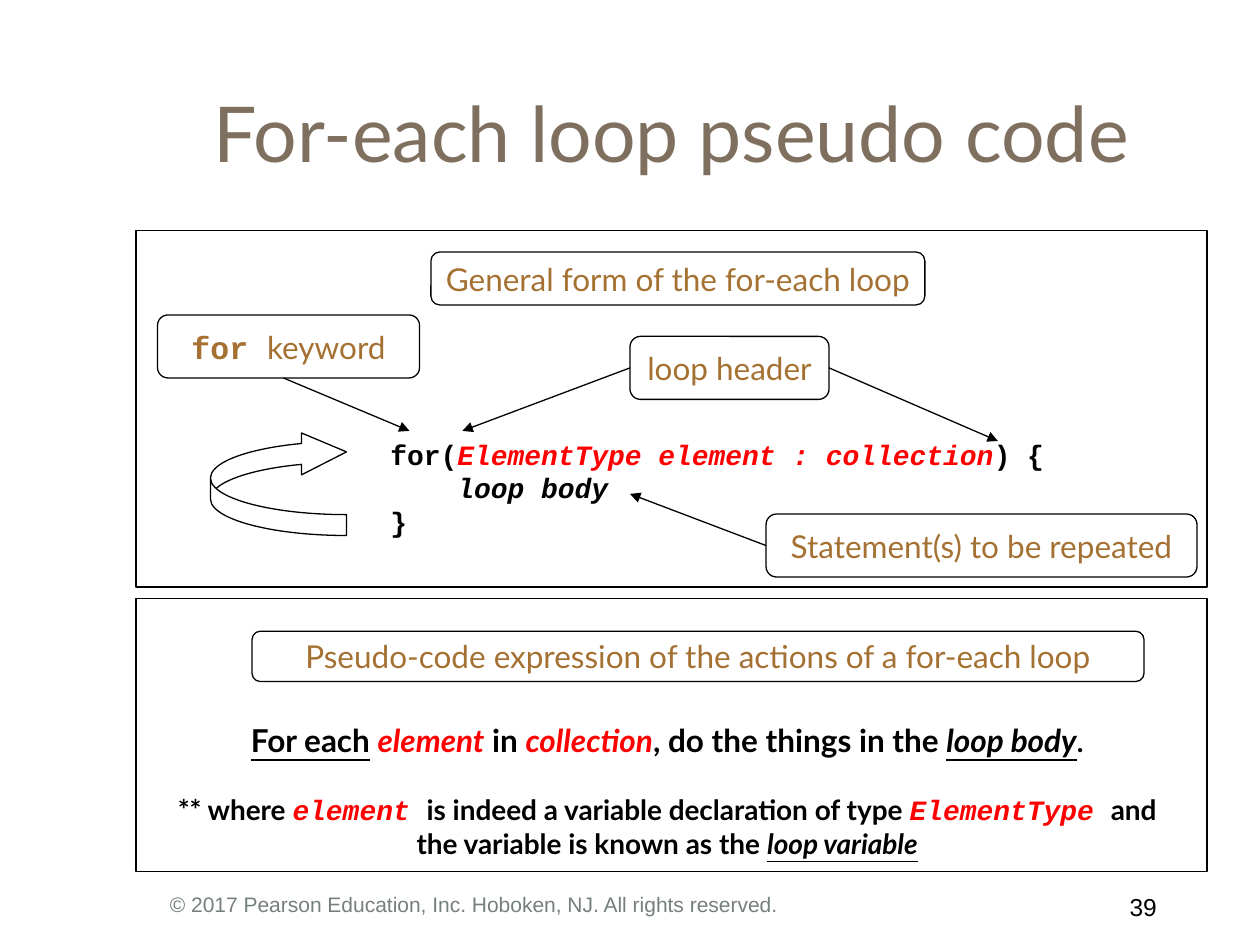
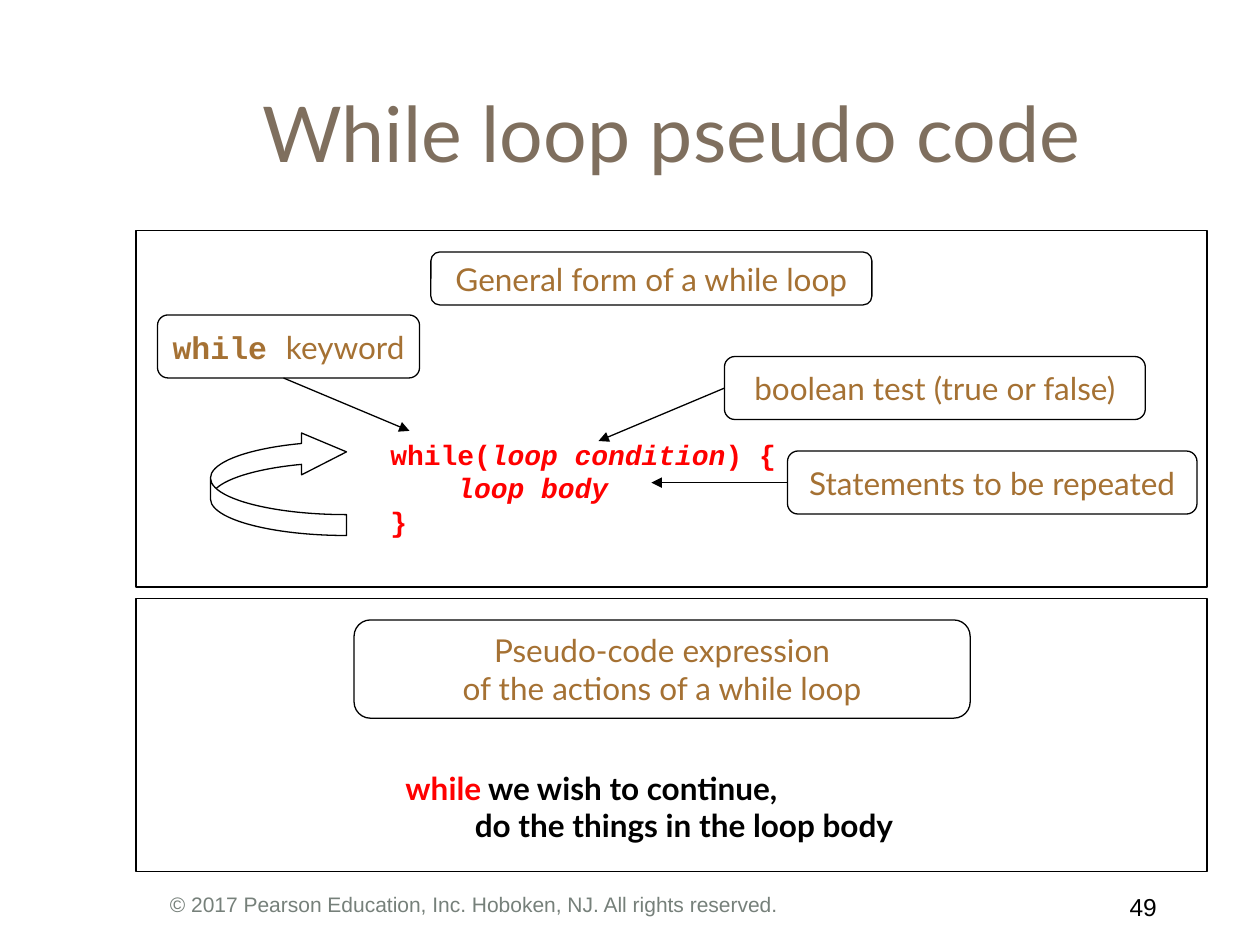
"""Builds two slides that explain for-each and while loops in pseudo code."""
from lxml.etree import SubElement
from pptx import Presentation
from pptx.dml.color import RGBColor
from pptx.enum.shapes import MSO_CONNECTOR, MSO_SHAPE
from pptx.enum.text import MSO_ANCHOR, MSO_AUTO_SIZE, PP_ALIGN
from pptx.oxml.ns import qn
from pptx.util import Inches, Pt

BLACK = RGBColor(0x00, 0x00, 0x00)
RED = RGBColor(0xFF, 0x00, 0x00)
BROWN = RGBColor(0xA5, 0x71, 0x33)
TAUPE = RGBColor(0x7F, 0x6F, 0x5E)
GREY = RGBColor(0x76, 0x80, 0x7A)
SANS, MONO, PLAIN = "Lato", "Courier New", "Arial"

TITLE_AREA = (1.08, 0.42, 8.5, 1.25)
FRAMES = [(1.08, 1.83, 8.5, 2.83), (1.08, 4.75, 8.5, 2.17)]
LOOP_ARROW = (1.67, 3.42, 1.08, 0.83)
KEYWORD_AREA = (1.25, 2.5, 2.08, 0.5)
KEYWORD_POINTER = ((2.25, 3), (3.25, 3.42))
CODE_AREA = (3, 3.42, 5.42, 0.9)
COPYRIGHT_AREA = (1.25, 7.03, 7.58, 0.33)
NUMBER_AREA = (8.7, 7.03, 0.58, 0.33)
COPYRIGHT = "© 2017 Pearson Education, Inc. Hoboken, NJ. All rights reserved."

LABEL = dict(size=18, font=SANS, color=BROWN)
KEYWORD = dict(LABEL, font=MONO, bold=True)
CODE = dict(size=16, font=MONO, color=BLACK, bold=True)
CODE_ITALIC = dict(CODE, italic=True)
CODE_RED = dict(CODE, color=RED)
CODE_RED_ITALIC = dict(CODE_RED, italic=True)
PROSE = dict(size=18, font=SANS, color=BLACK, bold=True)
PROSE_UNDERLINED = dict(PROSE, underline=True)
PROSE_TERM = dict(PROSE, italic=True, underline=True)
PROSE_RED = dict(PROSE, color=RED)
PROSE_RED_ITALIC = dict(PROSE_RED, italic=True)
NOTE = dict(PROSE, size=16)
NOTE_TERM = dict(NOTE, italic=True, underline=True)

SLIDES = [
    dict(
        title="For-each loop pseudo code",
        number="39",
        keyword="for ",
        labels=[
            ((3.42, 2, 3.92, 0.42), ["General form of the for-each loop"]),
            ((5, 2.67, 1.58, 0.5), ["loop header"]),
            ((6.08, 4.08, 3.42, 0.5), ["Statement(s) to be repeated"]),
            ((2, 5.01, 7.08, 0.4),
             ["Pseudo-code expression of the actions of a for-each loop"]),
        ],
        pointers=[((5, 2.92), (3.67, 3.42)), ((6.58, 2.92), (7.92, 3.5)),
                  ((6.08, 4.33), (5, 3.92))],
        code=[
            [("for(", CODE), ("ElementType element : collection", CODE_RED_ITALIC),
             (") {", CODE)],
            [("    ", CODE), ("loop body", CODE_ITALIC)],
            [("}", CODE)],
        ],
        meaning_area=(1.17, 5.67, 8.25, 1.2),
        meaning_align=PP_ALIGN.CENTER,
        meaning_gap=19.5,
        meaning_indent=0,
        meaning=[
            [("For each", PROSE_UNDERLINED), (" ", PROSE),
             ("element", PROSE_RED_ITALIC), (" in ", PROSE),
             ("collection", PROSE_RED_ITALIC), (", do the things in the ", PROSE),
             ("loop body", PROSE_TERM), (".", NOTE)],
            [("** where ", NOTE), ("element ", CODE_RED_ITALIC),
             ("is indeed a variable declaration of type ", NOTE),
             ("ElementType ", CODE_RED_ITALIC),
             ("and the variable is known as the ", NOTE),
             ("loop variable", NOTE_TERM)],
        ],
    ),
    dict(
        title="While loop pseudo code",
        number="49",
        keyword="while ",
        labels=[
            ((3.42, 2, 3.5, 0.42), ["General form of a while loop"]),
            ((5.75, 2.83, 3.34, 0.5), ["boolean test (true or false)"]),
            ((6.25, 3.58, 3.25, 0.5), ["Statements to be repeated"]),
            ((2.81, 4.92, 4.89, 0.78),
             ["Pseudo-code expression", "of the actions of a while loop"]),
        ],
        pointers=[((5.75, 3.08), (4.75, 3.5)), ((6.25, 3.83), (5.17, 3.83))],
        code=[
            [("while(", CODE_RED), ("loop condition", CODE_RED_ITALIC),
             (") {", CODE_RED)],
            [("    ", CODE_RED), ("loop body", CODE_RED_ITALIC)],
            [("}", CODE_RED)],
        ],
        meaning_area=(3.12, 6.05, 4.6, 0.71),
        meaning_align=PP_ALIGN.LEFT,
        meaning_gap=0,
        meaning_indent=0.55,
        meaning=[
            [("while", PROSE_RED), (" we wish to continue,", PROSE)],
            [("do the things in the loop body", PROSE)],
        ],
    ),
]


def style_run(run, size, font, color, bold=False, italic=False, underline=False):
    """Gives a run its font, size, colour and emphasis."""
    run.font.size = Pt(size)
    run.font.name = font
    run.font.color.rgb = color
    run.font.bold = bold
    run.font.italic = italic
    run.font.underline = underline


def write(frame, lines, align=PP_ALIGN.LEFT, gap=0, indent=0):
    """Fills a text frame; gap and indent apply to lines after the first."""
    for index, line in enumerate(lines):
        paragraph = frame.add_paragraph() if index else frame.paragraphs[0]
        if index and indent:
            paragraph._p.get_or_add_pPr().set("marL", str(Inches(indent)))
        paragraph.alignment = align
        if index and gap:
            paragraph.space_before = Pt(gap)
        for text, style in line:
            run = paragraph.add_run()
            run.text = text
            style_run(run, **style)


def add_text(slide, area, lines, **layout):
    """Adds a wrapping text box."""
    frame = slide.shapes.add_textbox(*map(Inches, area)).text_frame
    frame.word_wrap = True
    write(frame, lines, **layout)


def add_outline(slide, preset, area):
    """Adds an unfilled shape with a thin black line."""
    shape = slide.shapes.add_shape(preset, *map(Inches, area))
    shape.shadow.inherit = False
    shape.fill.background()
    shape.line.color.rgb = BLACK
    shape.line.width = Pt(0.75)
    return shape


def add_label(slide, area, lines):
    """Adds a rounded label with centred text."""
    frame = add_outline(slide, MSO_SHAPE.ROUNDED_RECTANGLE, area).text_frame
    frame.word_wrap = False
    frame.vertical_anchor = MSO_ANCHOR.MIDDLE
    write(frame, lines, PP_ALIGN.CENTER)


def add_pointer(slide, start, end):
    """Adds a thin line with an arrowhead at its end."""
    pointer = slide.shapes.add_connector(
        MSO_CONNECTOR.STRAIGHT, *map(Inches, start + end))
    pointer.line.color.rgb = BLACK
    pointer.line.width = Pt(0.75)
    SubElement(pointer.line._get_or_add_ln(), qn("a:tailEnd"), type="triangle")
    SubElement(pointer._element.spPr, qn("a:effectLst"))


def add_title(slide, text):
    """Places and formats the title placeholder."""
    title = slide.shapes.title
    title.left, title.top, title.width, title.height = map(Inches, TITLE_AREA)
    frame = title.text_frame
    frame.text = text
    frame.auto_size = MSO_AUTO_SIZE.NONE
    frame.vertical_anchor = MSO_ANCHOR.MIDDLE
    frame.paragraphs[0].alignment = PP_ALIGN.CENTER
    style_run(frame.paragraphs[0].runs[0], 44, SANS, TAUPE)


def add_loop_slide(deck, content):
    """Adds one slide about a kind of loop."""
    slide = deck.slides.add_slide(deck.slide_layouts[5])
    add_title(slide, content["title"])
    for area in FRAMES:
        add_outline(slide, MSO_SHAPE.RECTANGLE, area)
    loop_arrow = add_outline(slide, MSO_SHAPE.CURVED_LEFT_ARROW, LOOP_ARROW)
    loop_arrow.rotation = 180
    for index, value in enumerate((0.2, 0.4, 0.433)):
        loop_arrow.adjustments[index] = round(value, 2)
    add_label(slide, KEYWORD_AREA,
              [[(content["keyword"], KEYWORD), ("keyword", LABEL)]])
    for area, lines in content["labels"]:
        add_label(slide, area, [[(line, LABEL)] for line in lines])
    for start, end in [KEYWORD_POINTER] + content["pointers"]:
        add_pointer(slide, start, end)
    add_text(slide, CODE_AREA, content["code"])
    add_text(slide, content["meaning_area"], content["meaning"],
             align=content["meaning_align"], gap=content["meaning_gap"],
             indent=content["meaning_indent"])
    add_text(slide, COPYRIGHT_AREA,
             [[(COPYRIGHT, dict(size=12, font=PLAIN, color=GREY))]])
    add_text(slide, NUMBER_AREA,
             [[(content["number"], dict(size=14, font=PLAIN, color=BLACK))]],
             align=PP_ALIGN.RIGHT)


def main():
    """Builds and saves the deck."""
    deck = Presentation()
    deck.slide_width, deck.slide_height = Inches(10), Inches(7.5)
    for content in SLIDES:
        add_loop_slide(deck, content)
    deck.save("out.pptx")


if __name__ == "__main__":
    main()
